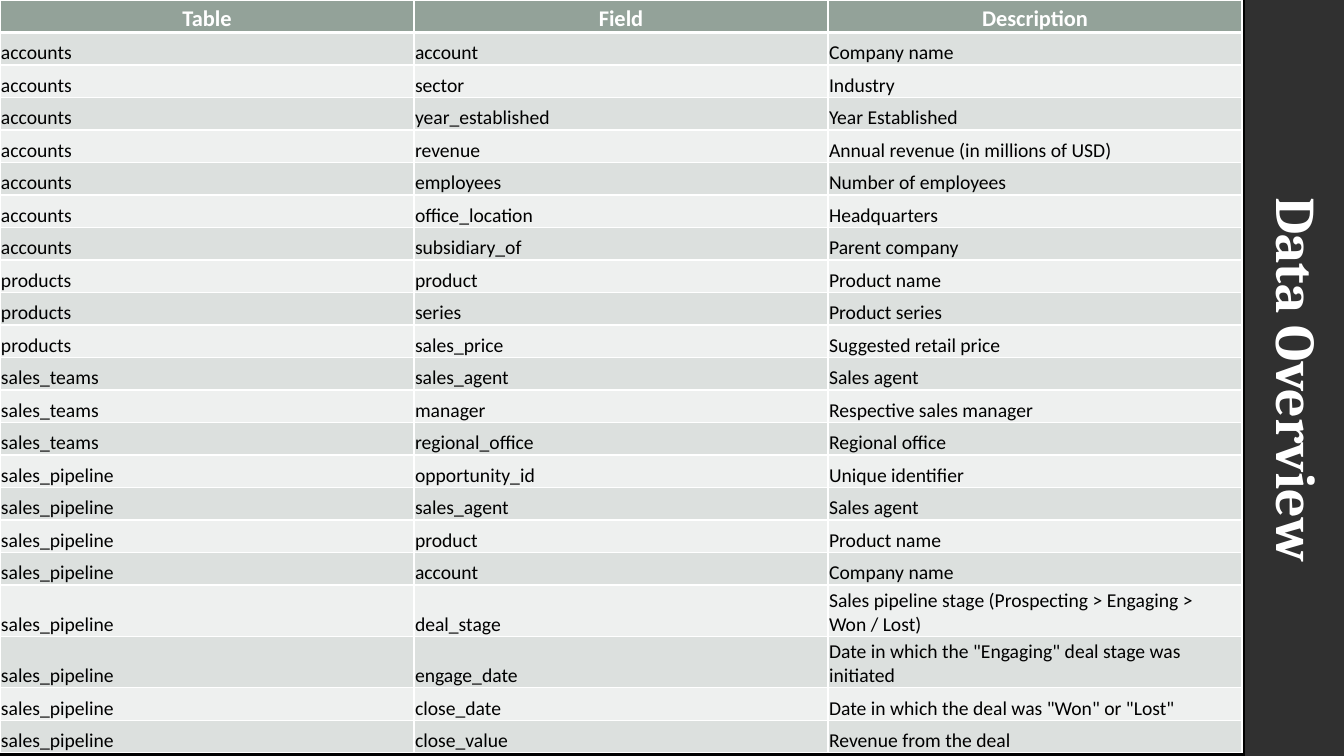
from lxml import etree
from pptx import Presentation
from pptx.dml.color import RGBColor
from pptx.enum import shapes, text
from pptx.oxml import ns
from pptx.util import Inches, Pt

BLACK = RGBColor(0x00, 0x00, 0x00)
WHITE = RGBColor(0xFF, 0xFF, 0xFF)
CHARCOAL = RGBColor(0x30, 0x30, 0x30)
SAGE = RGBColor(0x93, 0xA2, 0x99)
DARK_BAND = RGBColor(0xDC, 0xE0, 0xDE)
LIGHT_BAND = RGBColor(0xEE, 0xF0, 0xEF)

HEADINGS = ("Table", "Field", "Description")
FIELDS = {
    "accounts": [
        ("account", "Company name"),
        ("sector", "Industry"),
        ("year_established", "Year Established"),
        ("revenue", "Annual revenue (in millions of USD)"),
        ("employees", "Number of employees"),
        ("office_location", "Headquarters"),
        ("subsidiary_of", "Parent company"),
    ],
    "products": [
        ("product", "Product name"),
        ("series", "Product series"),
        ("sales_price", "Suggested retail price"),
    ],
    "sales_teams": [
        ("sales_agent", "Sales agent"),
        ("manager", "Respective sales manager"),
        ("regional_office", "Regional office"),
    ],
    "sales_pipeline": [
        ("opportunity_id", "Unique identifier"),
        ("sales_agent", "Sales agent"),
        ("product", "Product name"),
        ("account", "Company name"),
        ("deal_stage", "Sales pipeline stage (Prospecting > Engaging > Won / Lost)"),
        ("engage_date", 'Date in which the "Engaging" deal stage was initiated'),
        ("close_date", 'Date in which the deal was "Won" or "Lost"'),
        ("close_value", "Revenue from the deal"),
    ],
}
TWO_LINE_FIELDS = ("deal_stage", "engage_date")
TABLE_WIDTH, TABLE_HEIGHT = Inches(12.32), Inches(7.47)
TWO_LINE_HEIGHT = Inches(0.51)


def add_run(paragraph, wording, font, size, color, bold=False):
    run = paragraph.add_run()
    run.text = wording
    run.font.name = font
    run.font.size = Pt(size)
    run.font.bold = bold
    run.font.color.rgb = color


def add_border(cell, side, width):
    line = etree.Element(ns.qn(f"a:ln{side}"), w=str(Pt(width)))
    fill = etree.SubElement(line, ns.qn("a:solidFill"))
    etree.SubElement(fill, ns.qn("a:srgbClr"), val=str(WHITE))
    return line


def style_cell(cell, fill, widths):
    cell.margin_left = cell.margin_right = cell.margin_top = Inches(0.01)
    cell.margin_bottom = 0
    cell.vertical_anchor = text.MSO_ANCHOR.BOTTOM
    cell.fill.solid()
    cell.fill.fore_color.rgb = fill
    properties = cell._tc.get_or_add_tcPr()
    for place, (side, width) in enumerate(widths.items()):
        properties.insert(place, add_border(cell, side, width))


def add_field_table(slide):
    rows = [HEADINGS] + [(table, *field) for table, fields in FIELDS.items() for field in fields]
    table = slide.shapes.add_table(
        len(rows), len(HEADINGS), 0, 0, TABLE_WIDTH, TABLE_HEIGHT).table
    tall_count = len(TWO_LINE_FIELDS)
    row_height = (TABLE_HEIGHT - tall_count * TWO_LINE_HEIGHT) // (len(rows) - tall_count)
    for index, row in enumerate(rows):
        is_heading = index == 0
        table.rows[index].height = TWO_LINE_HEIGHT if row[1] in TWO_LINE_FIELDS else row_height
        fill = SAGE if is_heading else (LIGHT_BAND, DARK_BAND)[index % 2]
        widths = {"L": 1, "R": 1, "T": 3 if index == 1 else 1, "B": 3 if is_heading else 1}
        for column, wording in enumerate(row):
            cell = table.cell(index, column)
            style_cell(cell, fill, widths)
            paragraph = cell.text_frame.paragraphs[0]
            if is_heading:
                paragraph.alignment = text.PP_ALIGN.CENTER
                add_run(paragraph, wording, "Calibri", 16, WHITE, bold=True)
            else:
                add_run(paragraph, wording, "Calibri", 14, BLACK)


def add_side_band(slide):
    band = slide.shapes.add_shape(
        shapes.MSO_SHAPE.RECTANGLE, Inches(12.35), 0, Inches(0.98), Inches(7.5))
    band.shadow.inherit = False
    band.fill.solid()
    band.fill.fore_color.rgb = CHARCOAL
    band.line.fill.background()


def add_side_title(slide, wording):
    title = slide.shapes.add_textbox(Inches(9.14), Inches(3.38), Inches(7.47), Inches(0.77))
    title.rotation = 90
    title.text_frame.word_wrap = True
    title.text_frame.auto_size = text.MSO_AUTO_SIZE.SHAPE_TO_FIT_TEXT
    paragraph = title.text_frame.paragraphs[0]
    paragraph.alignment = text.PP_ALIGN.CENTER
    add_run(paragraph, wording, "Cambria", 40, WHITE, bold=True)


def main():
    deck = Presentation()
    deck.slide_width, deck.slide_height = Inches(13.33), Inches(7.5)
    slide = deck.slides.add_slide(deck.slide_layouts[6])
    slide.background.fill.solid()
    slide.background.fill.fore_color.rgb = BLACK
    add_side_band(slide)
    add_field_table(slide)
    add_side_title(slide, "Data Overview")
    deck.save("out.pptx")


if __name__ == "__main__":
    main()
